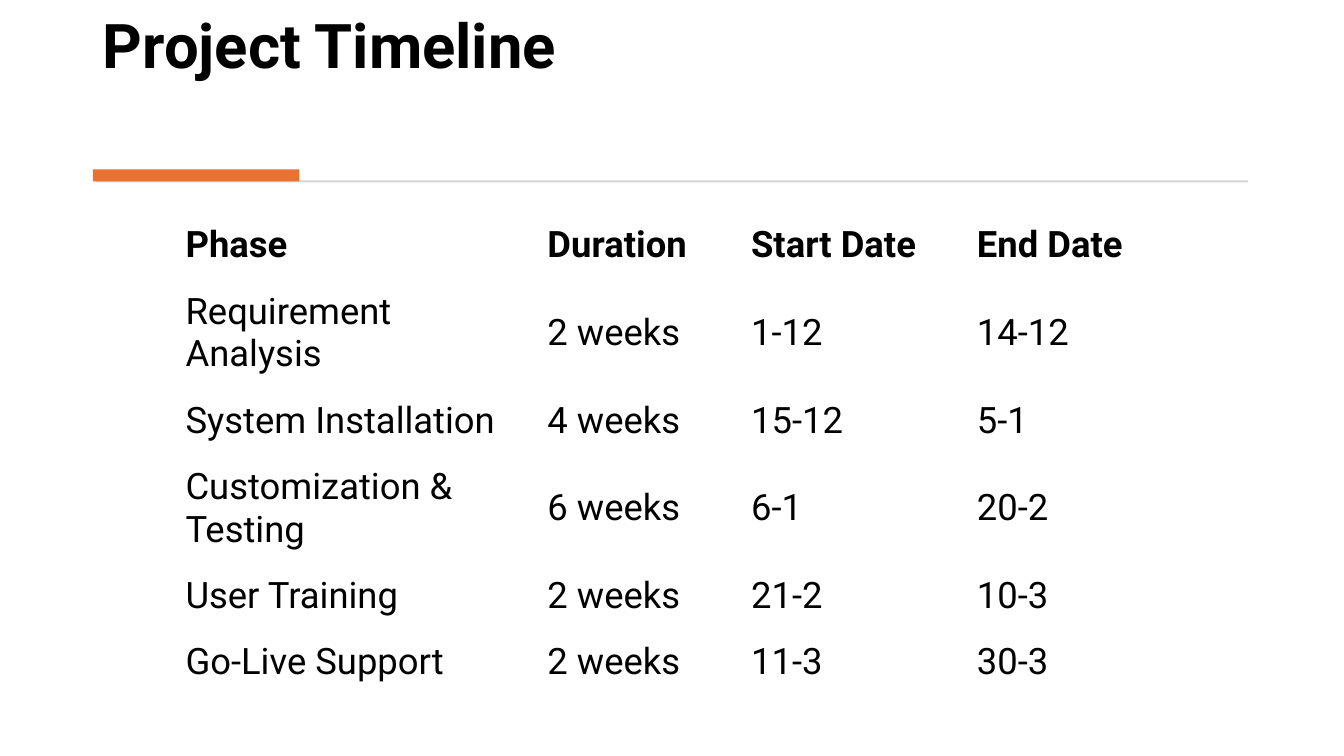
from dataclasses import dataclass

from pptx import Presentation
from pptx.dml.color import RGBColor
from pptx.enum.shapes import MSO_SHAPE
from pptx.enum.text import MSO_ANCHOR, MSO_AUTO_SIZE, PP_ALIGN
from pptx.slide import Slide
from pptx.table import _Cell
from pptx.text.text import _Paragraph
from pptx.util import Emu, Pt

EMU_PER_PX = 9144  # 100 px to the inch
FONT = "Roboto"
BLACK = "000000"
GREY = "D5D5D5"
ORANGE = "E97132"


@dataclass(frozen=True)
class Box:
    left: int
    top: int
    width: int
    height: int

    def emu(self) -> tuple[Emu, Emu, Emu, Emu]:
        return px(self.left), px(self.top), px(self.width), px(self.height)


@dataclass(frozen=True)
class Bar:
    box: Box
    color: str


@dataclass(frozen=True)
class Phase:
    name: str
    duration: str
    start: str
    end: str

    def texts(self) -> tuple[str, str, str, str]:
        return self.name, self.duration, self.start, self.end


TITLE_BOX = Box(92, 39, 1149, 111)
TABLE_BOX = Box(169, 211, 995, 478)
COLUMN_WIDTHS = (359, 202, 224, 210)
ROW_HEIGHTS = (65, 109, 65, 109, 65, 65)
BARS = (
    Bar(Box(95, 179, 1143, 2), GREY),
    Bar(Box(92, 168, 205, 12), ORANGE),
)
HEADER = Phase("Phase", "Duration", "Start Date", "End Date")
PHASES = (
    Phase("Requirement Analysis", "2 weeks", "1-12", "14-12"),
    Phase("System Installation", "4 weeks", "15-12", "5-1"),
    Phase("Customization & Testing", "6 weeks", "6-1", "20-2"),
    Phase("User Training", "2 weeks", "21-2", "10-3"),
    Phase("Go-Live Support", "2 weeks", "11-3", "30-3"),
)


def px(length: int) -> Emu:
    return Emu(length * EMU_PER_PX)


def rgb(color: str) -> RGBColor:
    return RGBColor.from_string(color)


def set_font(paragraph: _Paragraph, size: int, bold: bool) -> None:
    font = paragraph.font
    font.name = FONT
    font.size = Pt(size)
    font.bold = bold
    font.color.rgb = rgb(BLACK)


def add_title(slide: Slide, text: str) -> None:
    title = slide.shapes.title
    title.left, title.top, title.width, title.height = TITLE_BOX.emu()
    frame = title.text_frame
    frame.text = text
    frame.word_wrap = True
    frame.auto_size = MSO_AUTO_SIZE.NONE
    frame.vertical_anchor = MSO_ANCHOR.BOTTOM
    frame.margin_left = frame.margin_right = px(10)
    frame.margin_top = px(5)
    frame.margin_bottom = px(69)  # lifts the title one line above the box foot
    paragraph = frame.paragraphs[0]
    paragraph.alignment = PP_ALIGN.LEFT
    paragraph.line_spacing = 0.9
    set_font(paragraph, 44, True)


def add_bar(slide: Slide, bar: Bar) -> None:
    shape = slide.shapes.add_shape(MSO_SHAPE.RECTANGLE, *bar.box.emu())
    shape.shadow.inherit = False
    shape.fill.solid()
    shape.fill.fore_color.rgb = rgb(bar.color)
    shape.line.fill.background()


def fill_cell(cell: _Cell, text: str, bold: bool) -> None:
    cell.text = text
    cell.fill.background()
    cell.vertical_anchor = MSO_ANCHOR.MIDDLE
    cell.margin_left = cell.margin_right = px(15)
    cell.margin_top = cell.margin_bottom = px(7)
    set_font(cell.text_frame.paragraphs[0], 26, bold)


def add_timeline(slide: Slide) -> None:
    rows = (HEADER, *PHASES)
    table = slide.shapes.add_table(
        len(rows), len(COLUMN_WIDTHS), *TABLE_BOX.emu()
    ).table
    table.first_row = table.horz_banding = False
    for column, width in zip(table.columns, COLUMN_WIDTHS):
        column.width = px(width)
    for row, height, phase in zip(table.rows, ROW_HEIGHTS, rows):
        row.height = px(height)
        for cell, text in zip(row.cells, phase.texts()):
            fill_cell(cell, text, bold=phase is HEADER)


def main() -> None:
    presentation = Presentation()
    presentation.slide_width = px(1333)
    presentation.slide_height = px(750)
    slide = presentation.slides.add_slide(presentation.slide_layouts[5])
    add_title(slide, "Project Timeline")
    for bar in BARS:
        add_bar(slide, bar)
    add_timeline(slide)
    presentation.save("out.pptx")


if __name__ == "__main__":
    main()
